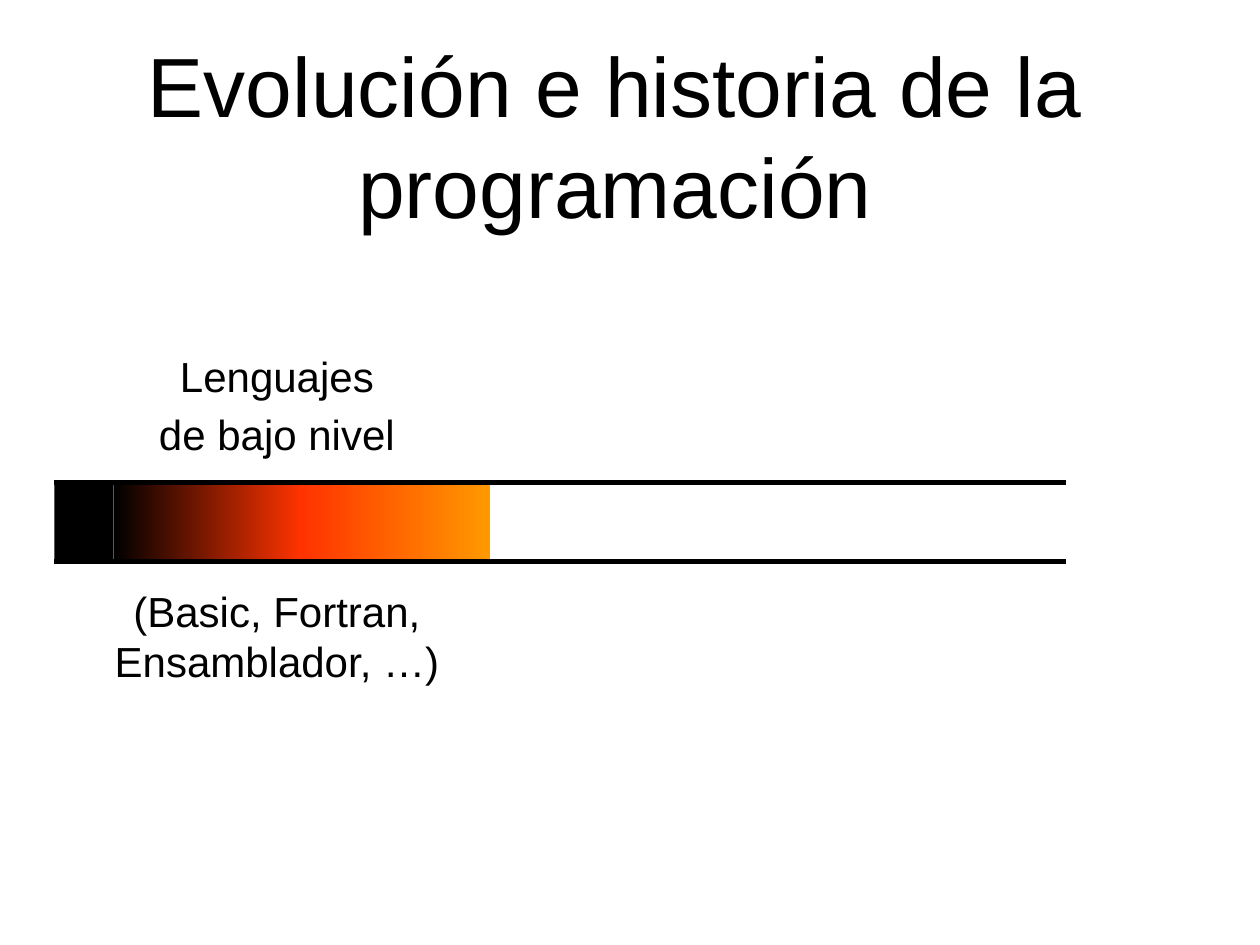
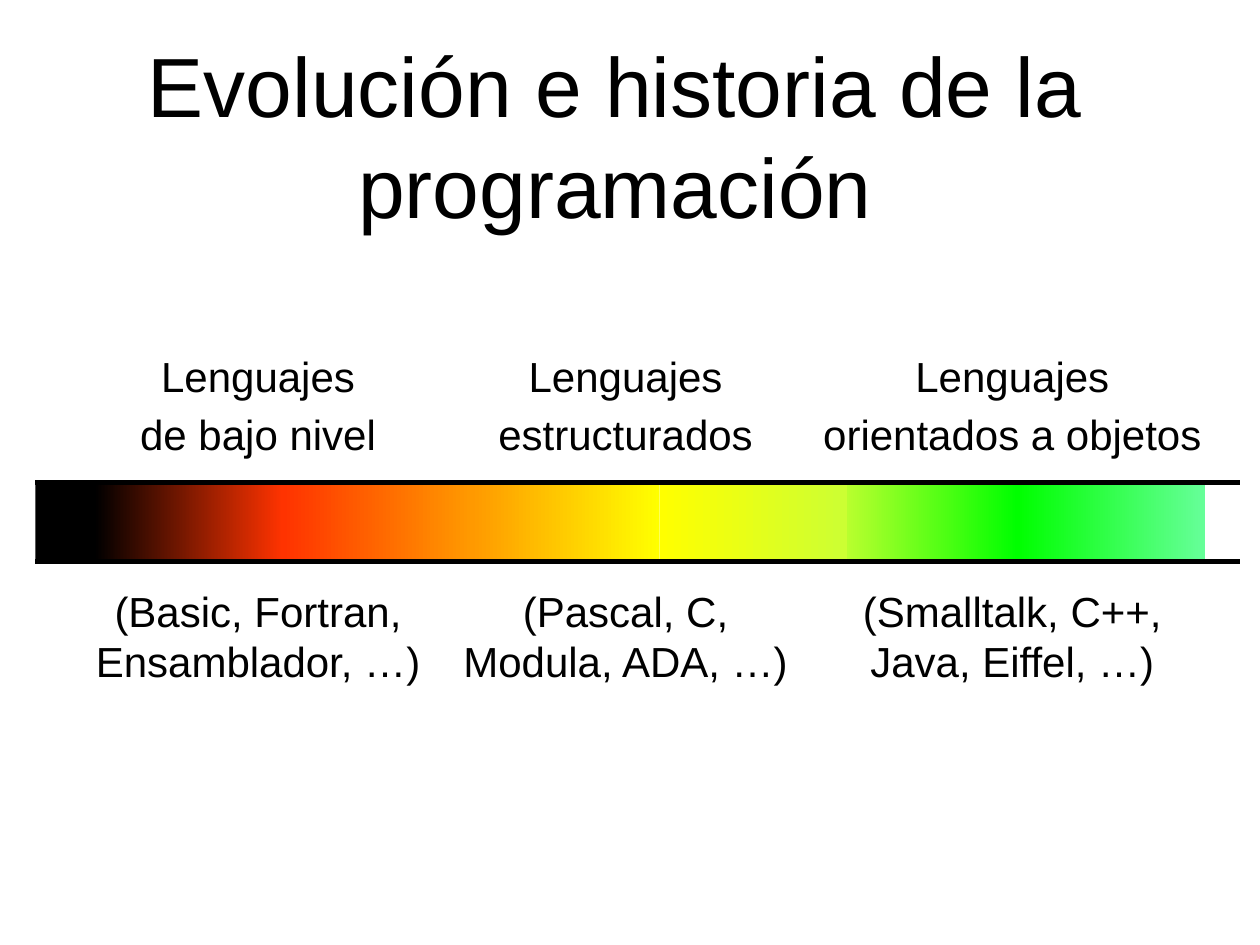
from dataclasses import dataclass

from lxml.etree import SubElement
from pptx import Presentation
from pptx.dml.color import RGBColor
from pptx.enum.shapes import MSO_CONNECTOR, MSO_SHAPE
from pptx.enum.text import MSO_ANCHOR, PP_ALIGN
from pptx.oxml.ns import qn
from pptx.shapes.autoshape import Shape
from pptx.slide import Slide
from pptx.text.text import TextFrame
from pptx.util import Pt

BLACK = RGBColor(0x00, 0x00, 0x00)
RED = RGBColor(0xFF, 0x33, 0x00)
ORANGE = RGBColor(0xFF, 0x99, 0x00)
YELLOW = RGBColor(0xFF, 0xFF, 0x00)
LIME = RGBColor(0xCC, 0xFF, 0x33)
GREEN = RGBColor(0x00, 0xFF, 0x00)
MINT = RGBColor(0x66, 0xFF, 0x99)

FONT = "Arial"
TITLE = "Evolución e historia de la programación"
TITLE_SIZE = 48
LABEL_SIZE = 24
LINE_FACTOR = 1.2
LABEL_TOP = 196.5
LABEL_WIDTH = 232.5
LABEL_HEIGHT = 215
LABEL_GAP = 4.8
BAND_GAP = 72
BAND_TOP = 275.75
BAND_HEIGHT = 45.25
CAP_WIDTH = 34
SEGMENT_WIDTH = 107.5


@dataclass(frozen=True)
class Era:
    """A language era, placed relative to the left end of its timeline."""

    lines: tuple[str, str, str]
    colors: tuple[RGBColor, ...]
    segments_left: float
    label_left: float


@dataclass(frozen=True)
class Timeline:
    """The band of one slide and the eras it shows."""

    left: float
    length: float
    eras: tuple[Era, ...]


LOW_LEVEL = Era(
    ("Lenguajes", "de bajo nivel", "(Basic, Fortran, Ensamblador, …)"),
    (BLACK, RED, ORANGE), CAP_WIDTH, 11)
STRUCTURED = Era(
    ("Lenguajes", "estructurados", "(Pascal, C,\vModula, ADA, …)"),
    (ORANGE, YELLOW, LIME), CAP_WIDTH + 2 * SEGMENT_WIDTH, 221)
OBJECT_ORIENTED = Era(
    ("Lenguajes", "orientados a objetos", "(Smalltalk, C++, Java, Eiffel, …)"),
    (LIME, GREEN, MINT), 453.5, 442)

TIMELINES = (
    Timeline(31, 578, (LOW_LEVEL,)),
    Timeline(20.25, 688.25, (LOW_LEVEL, STRUCTURED, OBJECT_ORIENTED)),
)


def add_text(slide: Slide, left: float, top: float, width: float, height: float,
             lines: tuple[str, ...], size: float) -> TextFrame:
    """Add centred black lines of text and return their frame."""
    frame = slide.shapes.add_textbox(Pt(left), Pt(top), Pt(width), Pt(height)).text_frame
    frame.word_wrap = True
    frame.text = "\n".join(lines)
    for paragraph in frame.paragraphs:
        paragraph.alignment = PP_ALIGN.CENTER
        paragraph.line_spacing = Pt(size * LINE_FACTOR)
        paragraph.font.name = FONT
        paragraph.font.size = Pt(size)
        paragraph.font.color.rgb = BLACK
    return frame


def add_title(slide: Slide) -> None:
    """Add the shared slide title."""
    frame = add_text(slide, 36.75, 20.25, 629.25, 113, (TITLE,), TITLE_SIZE)
    frame.vertical_anchor = MSO_ANCHOR.MIDDLE


def add_block(slide: Slide, left: float, width: float) -> Shape:
    """Add an outline-free rectangle as high as the band."""
    block = slide.shapes.add_shape(
        MSO_SHAPE.RECTANGLE, Pt(left), Pt(BAND_TOP), Pt(width), Pt(BAND_HEIGHT))
    block.shadow.inherit = False
    block.line.fill.background()
    return block


def add_segments(slide: Slide, era: Era, band_left: float) -> None:
    """Add the gradient segments of an era from right to left."""
    for index in reversed(range(len(era.colors) - 1)):
        left = band_left + era.segments_left + index * SEGMENT_WIDTH
        fill = add_block(slide, left, SEGMENT_WIDTH).fill
        fill.gradient()
        fill.gradient_angle = 0
        for position, stop in enumerate(fill.gradient_stops):
            stop.position = position
            stop.color.rgb = era.colors[index + position]


def add_era_label(slide: Slide, era: Era, band_left: float) -> None:
    """Add the era name above the band and its languages below."""
    frame = add_text(slide, band_left + era.label_left, LABEL_TOP,
                     LABEL_WIDTH, LABEL_HEIGHT, era.lines, LABEL_SIZE)
    _, kind, languages = frame.paragraphs
    kind.space_before = Pt(LABEL_GAP)
    languages.space_before = Pt(BAND_GAP)


def add_rail(slide: Slide, timeline: Timeline, y: float) -> None:
    """Add one horizontal edge of the band."""
    rail = slide.shapes.add_connector(
        MSO_CONNECTOR.STRAIGHT, Pt(timeline.left), Pt(y),
        Pt(timeline.left + timeline.length), Pt(y))
    rail.line.color.rgb = BLACK
    rail.line.width = Pt(3)
    SubElement(rail._element.spPr, qn("a:effectLst"))


def add_timeline(slide: Slide, timeline: Timeline) -> None:
    """Draw the band, its edges and the era labels."""
    for era in reversed(timeline.eras):
        add_segments(slide, era, timeline.left)
    for y in (BAND_TOP, BAND_TOP + BAND_HEIGHT):
        add_rail(slide, timeline, y)
    cap = add_block(slide, timeline.left, CAP_WIDTH)
    cap.fill.solid()
    cap.fill.fore_color.rgb = BLACK
    for era in timeline.eras:
        add_era_label(slide, era, timeline.left)


def main() -> None:
    """Build and save the presentation."""
    presentation = Presentation()
    presentation.slide_width = Pt(720)
    presentation.slide_height = Pt(540)
    for timeline in TIMELINES:
        slide = presentation.slides.add_slide(presentation.slide_layouts[6])
        add_title(slide)
        add_timeline(slide, timeline)
    presentation.save("out.pptx")


if __name__ == "__main__":
    main()
